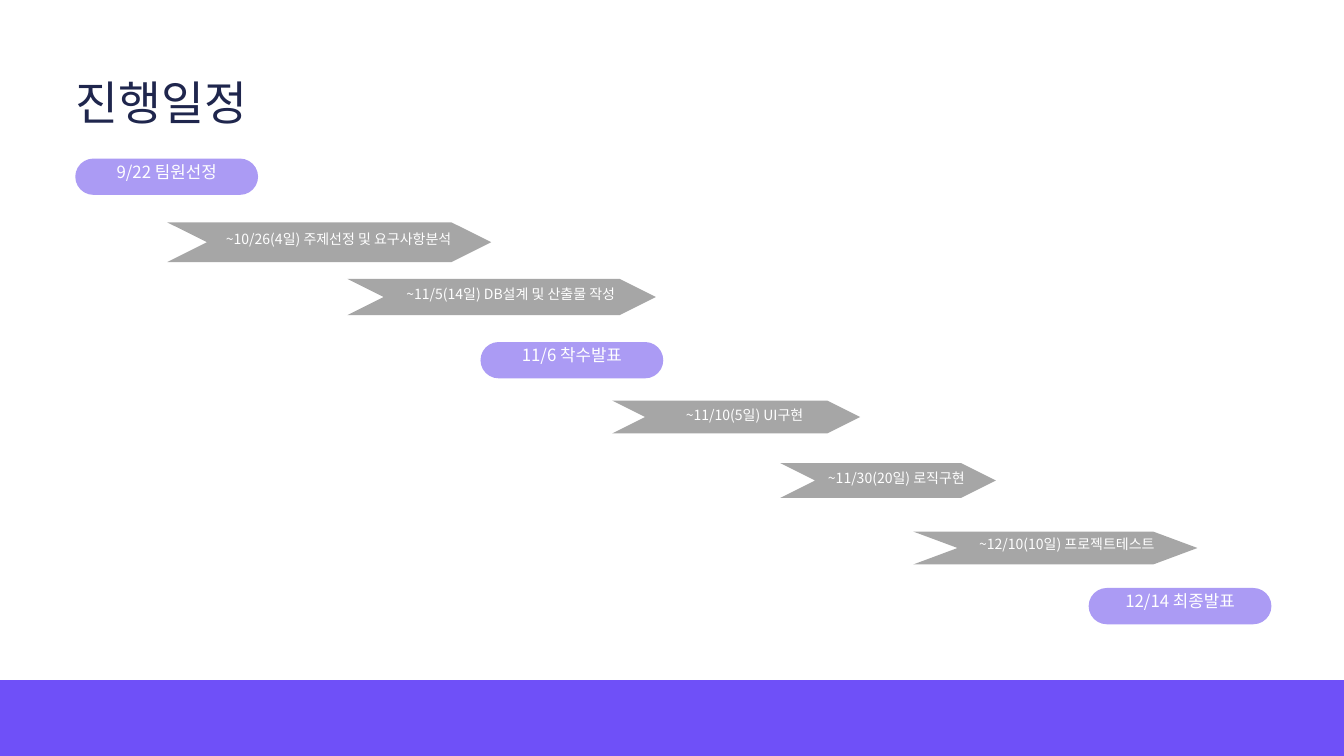
from pptx import Presentation
from pptx.dml.color import RGBColor
from pptx.enum.shapes import MSO_SHAPE
from pptx.enum.text import MSO_ANCHOR, PP_ALIGN
from pptx.util import Inches, Pt

RECTANGLE = MSO_SHAPE.RECTANGLE
PILL = MSO_SHAPE.ROUNDED_RECTANGLE
CHEVRON = MSO_SHAPE.CHEVRON
MIDDLE, TOP = MSO_ANCHOR.MIDDLE, MSO_ANCHOR.TOP
CENTER, LEFT = PP_ALIGN.CENTER, PP_ALIGN.LEFT
LABEL_FONT = "Noto Sans CJK KR"


def add_block(kind, left, top, width, height, color):
    shape = page.shapes.add_shape(
        kind, Inches(left), Inches(top), Inches(width), Inches(height))
    shape.shadow.inherit = False
    shape.fill.solid()
    shape.fill.fore_color.rgb = RGBColor.from_string(color)
    shape.line.fill.background()
    return shape


def add_text(text, left, top, width, height, size, spacing, color="FFFFFF",
             font=LABEL_FONT, align=CENTER, anchor=MIDDLE, inset=0.06):
    box = page.shapes.add_textbox(
        Inches(left), Inches(top), Inches(width), Inches(height))
    frame = box.text_frame
    frame.word_wrap = True
    frame.vertical_anchor = anchor
    frame.margin_left = frame.margin_right = Inches(inset)
    frame.margin_top = frame.margin_bottom = Inches(inset)
    frame.text = text
    para = frame.paragraphs[0]
    para.alignment = align
    para.line_spacing = Pt(spacing)
    span = para.runs[0]
    span.font.name = font
    span.font.size = Pt(size)
    span.font.color.rgb = RGBColor.from_string(color)


deck = Presentation()
deck.slide_width, deck.slide_height = Inches(20), Inches(11.25)
page = deck.slides.add_slide(deck.slide_layouts[6])

# Footer band and title
add_block(RECTANGLE, 0, 10.12, 20, 1.13, "6F50F8")
add_text("진행일정", 1.12, 1.1, 3.15, 0.85, 50, 60, "1F264D",
         "Calibri", LEFT, TOP, 0)

# Work periods: arrow left, top, width, height, point depth;
# label left, width, height (labels end at the arrow's bottom edge)
periods = [
    ("~10/26(4일) 주제선정 및 요구사항분석", 2.49, 3.31, 4.82, 0.59, 0.59, 3, 4.08, 0.73),
    ("~11/5(14일) DB설계 및 산출물 작성", 5.17, 4.15, 4.59, 0.54, 0.54, 5.64, 3.92, 0.67),
    ("~11/10(5일) UI구현", 9.11, 5.96, 3.69, 0.49, 0.49, 9.54, 3.08, 0.6),
    ("~11/30(20일) 로직구현", 11.61, 6.89, 3.21, 0.52, 0.52, 12.06, 2.56, 0.64),
    ("~12/10(10일) 프로젝트테스트", 13.59, 7.91, 4.23, 0.49, 0.66, 14.17, 3.41, 0.64),
]
for text, left, top, width, height, depth, text_left, text_width, text_height in periods:
    arrow = add_block(CHEVRON, left, top, width, height, "A6A6A6")
    arrow.adjustments[0] = depth / height
    add_text(text, text_left, top + height - text_height,
             text_width, text_height, 15, 21)

# Milestones
milestones = [
    ("9/22 팀원선정", 1.12, 2.36),
    ("11/6 착수발표", 7.15, 5.09),
    ("12/14 최종발표", 16.2, 8.75),
]
for text, left, top in milestones:
    pill = add_block(PILL, left, top, 2.72, 0.54, "AB9BF4")
    pill.adjustments[0] = 0.5
    add_text(text, left, top - 0.2, 2.72, 0.74, 18, 25.2)

deck.save("out.pptx")
